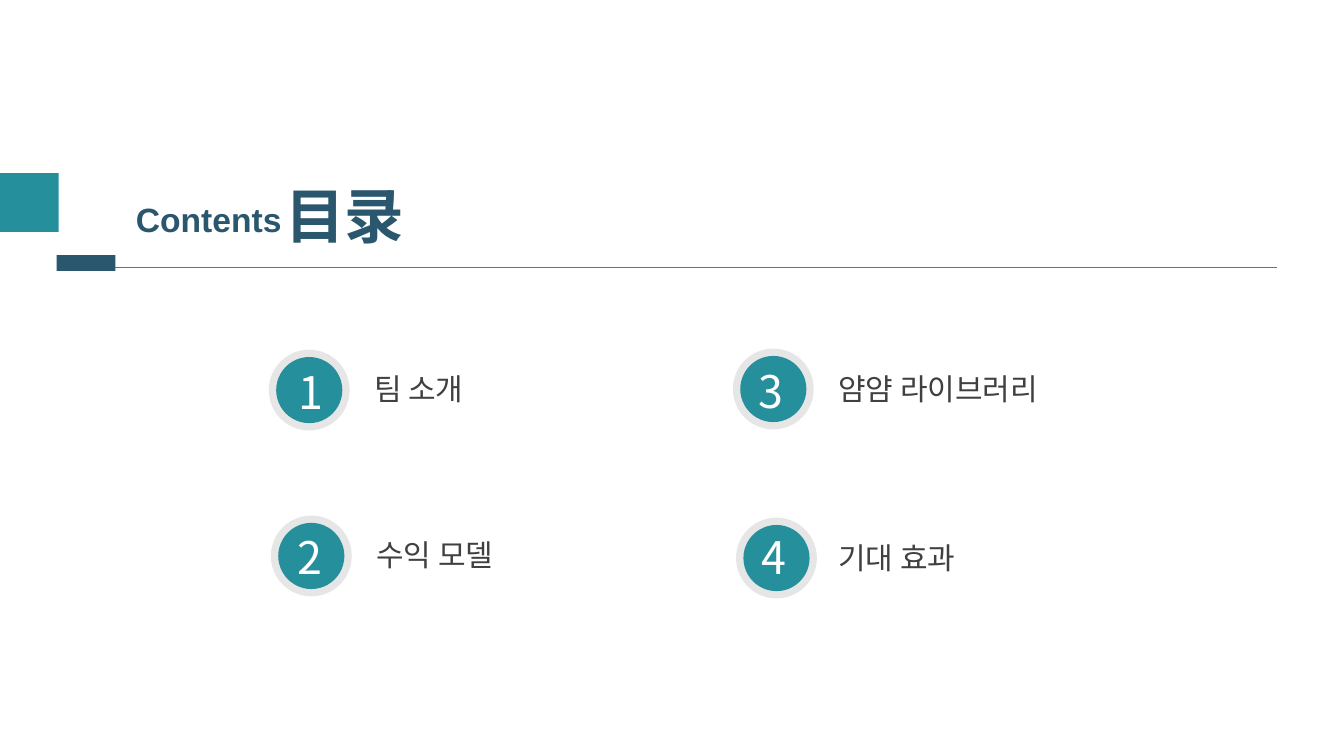
from pptx import Presentation
from pptx.dml.color import RGBColor
from pptx.enum.shapes import MSO_CONNECTOR, MSO_SHAPE
from pptx.enum.text import MSO_ANCHOR, MSO_AUTO_SIZE, PP_ALIGN
from pptx.oxml.ns import qn
from pptx.util import Pt
from lxml.etree import SubElement

PX = 9525
RING, DISC = 77, 63
INSET = (RING - DISC) // 2
SANS, CJK = "Arial", "Noto Sans CJK SC"
COLORS = {
    "teal": "268F9C",
    "navy": "2A566E",
    "ring": "E7E6E6",
    "text": "404040",
    "white": "FFFFFF",
}


def add_block(preset, left, top, width, height, color):
    block = page.shapes.add_shape(preset, left * PX, top * PX, width * PX, height * PX)
    block.shadow.inherit = False
    block.fill.solid()
    block.fill.fore_color.rgb = RGBColor.from_string(COLORS[color])
    block.line.fill.background()


def write(box, left, top, width, height, text, size, color, font=CJK, bold=False):
    box.left, box.top = left * PX, top * PX
    box.width, box.height = width * PX, height * PX
    frame = box.text_frame
    frame.word_wrap = True
    frame.auto_size = MSO_AUTO_SIZE.SHAPE_TO_FIT_TEXT
    frame.vertical_anchor = MSO_ANCHOR.TOP
    para = frame.paragraphs[0]
    para.alignment = PP_ALIGN.LEFT
    span = para.add_run()
    span.text = text
    span.font.size = Pt(size)
    span.font.bold = bold
    span.font.color.rgb = RGBColor.from_string(COLORS[color])
    span.font.name = font
    SubElement(span.font._element, qn("a:ea")).set("typeface", font)


deck = Presentation()
deck.slide_width, deck.slide_height = 1280 * PX, 720 * PX
page = deck.slides.add_slide(deck.slide_layouts[5])
for placeholder in list(page.placeholders):
    if placeholder != page.shapes.title:
        placeholder.element.getparent().remove(placeholder.element)

rule = page.shapes.add_connector(MSO_CONNECTOR.STRAIGHT, 57 * PX, 255 * PX, 1216 * PX, 255 * PX)
rule.line.color.rgb = RGBColor.from_string(COLORS["teal"])
rule.line.width = Pt(0.75)
SubElement(rule._element.spPr, qn("a:effectLst"))

write(page.shapes.title, 262, 166, 164, 79, "目录", 42.6, "navy", bold=True)
subtitle = page.shapes.add_textbox(0, 0, 0, 0)
write(subtitle, 120, 185, 198, 48, "Contents", 24, "navy", SANS, True)
add_block(MSO_SHAPE.RECTANGLE, 0, 165, 56, 56, "teal")

entries = [
    ("팀 소개", 256, 333, 275, 343, 347, 348, 476),
    ("수익 모델", 258, 491, 274, 500, 349, 506, 476),
    ("얌얌 라이브러리", 698, 332, 713, 342, 789, 348, 307),
    ("기대 효과", 701, 493, 716, 500, 789, 509, 307),
]
for number, entry in enumerate(entries, 1):
    label, left, top, number_left, number_top, label_left, label_top, label_width = entry
    add_block(MSO_SHAPE.OVAL, left, top, RING, RING, "ring")
    add_block(MSO_SHAPE.OVAL, left + INSET, top + INSET, DISC, DISC, "teal")
    number_box = page.shapes.add_textbox(0, 0, 0, 0)
    write(number_box, number_left, number_top, 46, 61, str(number), 32, "white")
    label_box = page.shapes.add_textbox(0, 0, 0, 0)
    write(label_box, label_left, label_top, label_width, 44, label, 21.4, "text")

add_block(MSO_SHAPE.RECTANGLE, 54, 243, 56, 15, "navy")
deck.save("out.pptx")
